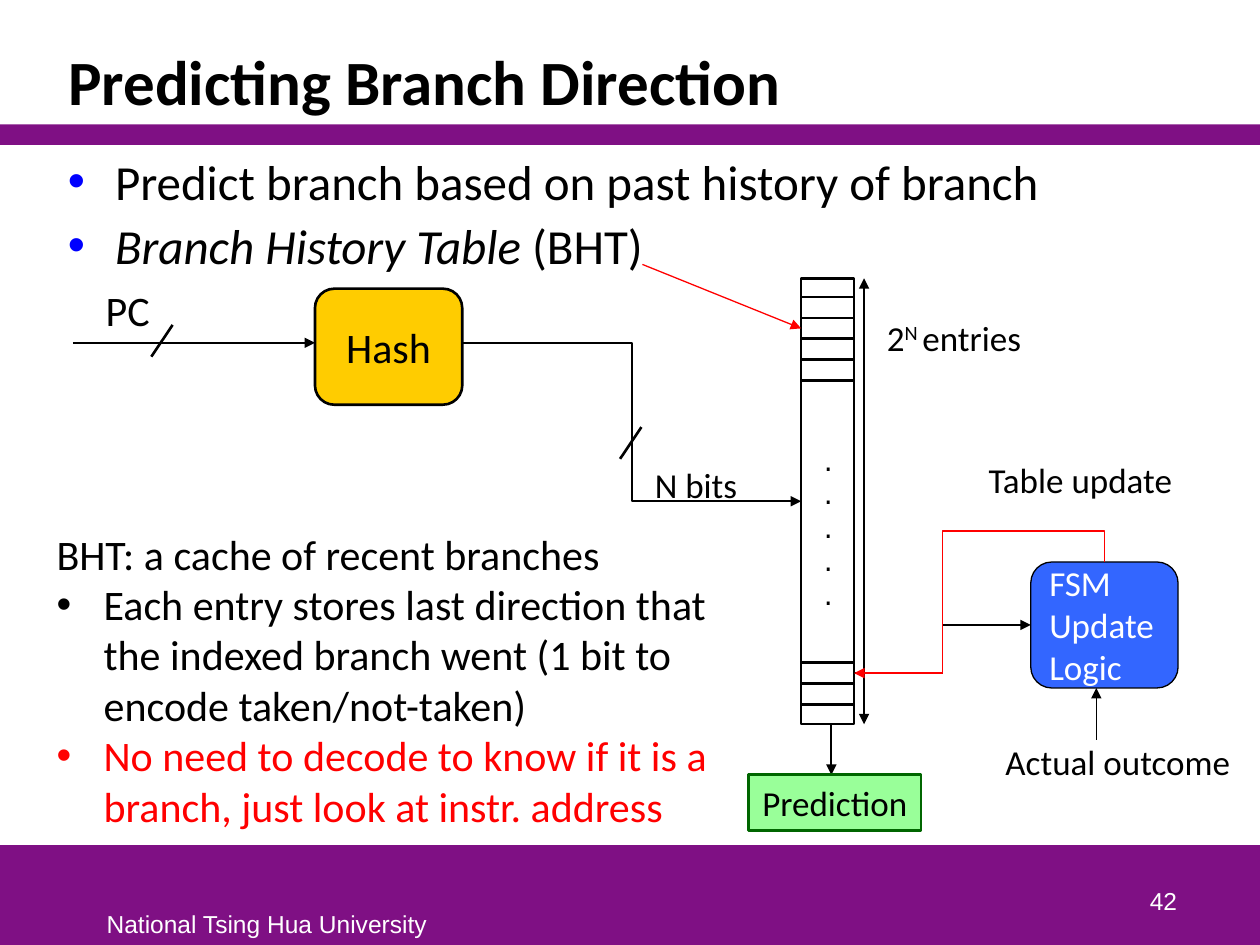
from lxml import etree
from pptx import Presentation
from pptx import util as u
from pptx.dml.color import RGBColor
from pptx.enum import shapes, text
from pptx.oxml.ns import qn

BLACK = RGBColor(0, 0, 0)
WHITE = RGBColor(255, 255, 255)
PURPLE = RGBColor(0x7F, 0x10, 0x84)
RED = RGBColor(255, 0, 0)
BULLET_BLUE = RGBColor(0, 0, 255)
HASH_GOLD = RGBColor(0xFF, 0xCC, 0)
FSM_BLUE = RGBColor(0x33, 0x66, 0xFF)
PALE_GREEN = RGBColor(0x99, 0xFF, 0x99)
DARK_GREEN = RGBColor(0, 0x66, 0)

RECT = shapes.MSO_SHAPE.RECTANGLE
ROUNDED = shapes.MSO_SHAPE.ROUNDED_RECTANGLE
STRAIGHT = shapes.MSO_CONNECTOR.STRAIGHT
ELBOW = shapes.MSO_CONNECTOR.ELBOW
LEFT = text.PP_ALIGN.LEFT
CENTER = text.PP_ALIGN.CENTER
TOP, LEFT_SIDE, RIGHT_SIDE = 0, 1, 3


def add_span(para, words, size, color=BLACK, face="Calibri", bold=False, italic=False):
    span = para.add_run()
    span.text = words
    span.font.size = u.Pt(size)
    span.font.name = face
    span.font.color.rgb = color
    span.font.bold = bold
    span.font.italic = italic
    return span


def add_para(frame, align=LEFT):
    first = frame.paragraphs[0]
    para = frame.add_paragraph() if first.runs else first
    para.alignment = align
    return para


def add_bullet(para, color):
    props = para._p.get_or_add_pPr()
    props.set("marL", str(u.Cm(0.95)))
    props.set("indent", str(-u.Cm(0.95)))
    tint = etree.SubElement(props, qn("a:buClr"))
    etree.SubElement(tint, qn("a:srgbClr"), val=str(color))
    etree.SubElement(props, qn("a:buFont"), typeface="Arial")
    etree.SubElement(props, qn("a:buChar"), char="•")


def add_text(page, box, wrap=True, grow=True):
    frame = page.shapes.add_textbox(*map(u.Cm, box)).text_frame
    frame.word_wrap = wrap
    frame.auto_size = text.MSO_AUTO_SIZE.SHAPE_TO_FIT_TEXT if grow else text.MSO_AUTO_SIZE.NONE
    return frame


def add_label(page, box, words, size=20, color=BLACK, face="Calibri"):
    frame = add_text(page, box, wrap=False)
    add_span(add_para(frame), words, size, color, face)


def add_block(page, box, fill, line=None, weight=1.5, kind=RECT):
    block = page.shapes.add_shape(kind, *map(u.Cm, box))
    block.shadow.inherit = False
    block.fill.solid()
    block.fill.fore_color.rgb = fill
    if line is None:
        block.line.fill.background()
    else:
        block.line.color.rgb = line
        block.line.width = u.Pt(weight)
    return block


def fill_block(block, lines, size, color=BLACK, align=CENTER):
    frame = block.text_frame
    frame.word_wrap = False
    frame.vertical_anchor = text.MSO_ANCHOR.MIDDLE
    for words in lines:
        add_span(add_para(frame, align), words, size, color)


def add_line(page, start, end, color=BLACK, weight=1, kind=STRAIGHT, head=False, tail=True):
    line = page.shapes.add_connector(kind, *map(u.Cm, (*start, *end)))
    line.line.color.rgb = color
    line.line.width = u.Pt(weight)
    outline = line.line._get_or_add_ln()
    for tag, wanted in (("a:headEnd", head), ("a:tailEnd", tail)):
        if wanted:
            etree.SubElement(outline, qn(tag), type="triangle")
    etree.SubElement(line._element.spPr, qn("a:effectLst"))
    return line


def add_slash(page, left, top):
    add_line(page, (left + 0.43, top), (left, top + 0.64), weight=1.5, tail=False)


def add_update_line(page, start, end):
    across, down = start[0] - end[0], end[1] - start[1]
    mid_x, mid_y = (start[0] + end[0]) / 2, (start[1] + end[1]) / 2
    line = add_line(page, (mid_x + down / 2, mid_y + across / 2),
                    (mid_x - down / 2, mid_y - across / 2), RED, kind=ELBOW)
    props = line._element.spPr
    props.find(qn("a:xfrm")).set("rot", "16200000")
    shape = props.find(qn("a:prstGeom"))
    shape.set("prst", "bentConnector4")
    guides = shape.find(qn("a:avLst"))
    for name, value in (("adj1", -28100), ("adj2", 64700)):
        etree.SubElement(guides, qn("a:gd"), name=name, fmla=f"val {value}")


def add_frame(page, width, height):
    bar_top = height - 2.01
    add_block(page, (0, bar_top, width, 2.01), PURPLE)
    add_block(page, (0, 2.51, width, 0.41), PURPLE)
    add_label(page, (1.9, bar_top + 1.17, 7.01, 0.84), "National Tsing Hua University",
              14, WHITE, "Arial")
    number = add_text(page, (18.7, bar_top + 0.26, 5.28, 1.27), grow=False)
    number.vertical_anchor = text.MSO_ANCHOR.BOTTOM
    add_span(add_para(number, text.PP_ALIGN.RIGHT), "42", 14, WHITE, "Arial")


def add_title(page, box):
    title = page.shapes.title
    title.left, title.top, title.width, title.height = map(u.Cm, box)
    frame = title.text_frame
    frame.auto_size = text.MSO_AUTO_SIZE.NONE
    frame.vertical_anchor = text.MSO_ANCHOR.BOTTOM
    para = add_para(frame)
    para.line_spacing = 0.85
    add_span(para, "Predicting Branch Direction", 36, bold=True)


def add_points(page, box):
    frame = add_text(page, box, grow=False)
    para = add_para(frame)
    add_bullet(para, BULLET_BLUE)
    add_span(para, "Predict branch based on past history of branch", 28)
    para = add_para(frame)
    add_bullet(para, BULLET_BLUE)
    para.space_before = u.Pt(3)
    add_span(para, "Branch History Table ", 28, italic=True)
    add_span(para, "(BHT)", 28)


def add_history_table(page, left, top, width, height):
    row = 0.42
    table = add_block(page, (left, top, width, height), WHITE, BLACK)
    offsets = [0.38 + row * i for i in range(4)] + [7.75, 7.75 + row]
    rows = [add_block(page, (left, top + offset, width, row), WHITE, BLACK) for offset in offsets]
    dots = add_text(page, (left + 0.21, top + 3.2, 0.84, 3.66))
    for _ in range(5):
        add_span(add_para(dots), ".", 16, face="DejaVu Sans")

    span_x = left + width + 0.2
    add_line(page, (span_x, top), (span_x, top + height), head=True)
    entries = add_para(add_text(page, (span_x + 0.21, top + 0.64, 3.3, 1.12), wrap=False))
    add_span(entries, "2", 20)
    add_span(entries, "N ", 20)._r.get_or_add_rPr().set("baseline", "30000")
    add_span(entries, "entries", 20)

    bottom = top + height
    add_line(page, (left + 0.61, bottom), (left + 0.61, bottom + 1.02))
    prediction = add_block(page, (left - 1.06, bottom + 1.02, 3.48, 1.12), PALE_GREEN, DARK_GREEN)
    fill_block(prediction, ["Prediction"], 20)

    pointer = add_line(page, (left - 3.2, top - 0.28), (left, top + 0.97), RED, 0.75)
    pointer.end_connect(rows[1], LEFT_SIDE)
    return table, rows[4]


def add_hash_path(page, left, top, table):
    wire = top + 1.3
    add_line(page, (left, wire), (left + 4.88, wire))
    add_label(page, (left + 0.41, top, 1.4, 1.27), "PC", 24)
    add_slash(page, left + 1.58, wire - 0.36)
    block = add_block(page, (left + 4.88, top + 0.21, 2.97, 2.34), HASH_GOLD, BLACK, kind=ROUNDED)
    fill_block(block, ["Hash"], 24)
    index = add_line(page, (left + 7.85, wire), (left + 14.68, top + 4.5), kind=ELBOW)
    index.end_connect(table, LEFT_SIDE)
    add_slash(page, left + 11.03, top + 3)
    add_label(page, (left + 11.48, top + 3.61, 2.18, 1.12), "N bits")


def add_update_logic(page, left, top, width, height, entry):
    logic = add_block(page, (left, top, width, height), FSM_BLUE, BLACK, 0.75, ROUNDED)
    fill_block(logic, ["FSM", "Update", "Logic"], 20, WHITE, LEFT)
    add_label(page, (left - 1.1, top - 2.21, 4.24, 1.12), "Table update")
    outcome_x = left + 1.32
    add_line(page, (outcome_x, top + height + 1.04), (outcome_x, top + height), weight=0.75)
    add_label(page, (left - 0.76, top + height + 0.94, 5.08, 1.12), "Actual outcome")

    entry_point = ((entry.left + entry.width) / u.Cm(1), (entry.top + entry.height / 2) / u.Cm(1))
    state = add_line(page, entry_point, (left, top + height / 2), kind=ELBOW)
    state.begin_connect(entry, RIGHT_SIDE)
    state.end_connect(logic, LEFT_SIDE)
    add_update_line(page, (left + width / 2, top), entry_point)


def add_notes_text(page, box):
    frame = add_text(page, box)
    add_span(add_para(frame), "BHT: a cache of recent branches", 24)
    for words, color in (
        ("Each entry stores last direction that the indexed branch went "
         "(1 bit to encode taken/not-taken)", BLACK),
        ("No need to decode to know if it is a branch, just look at instr. address", RED),
    ):
        para = add_para(frame)
        add_bullet(para, color)
        add_span(para, words, 24, color)


def main():
    deck = Presentation()
    deck.slide_width, deck.slide_height = u.Cm(25.4), u.Cm(19.05)
    page = deck.slides.add_slide(deck.slide_layouts[5])
    add_frame(page, 25.4, 19.05)
    add_title(page, (1.12, 0.64, 23.16, 1.87))
    add_points(page, (1.12, 2.92, 23.16, 14.05))
    table, entry = add_history_table(page, 16.15, 5.61, 1.07, 8.99)
    add_hash_path(page, 1.47, 5.61, table)
    add_update_logic(page, 20.78, 11.33, 2.97, 2.54, entry)
    add_notes_text(page, (0.89, 10.52, 13.67, 6.4))
    deck.save("out.pptx")


if __name__ == "__main__":
    main()
